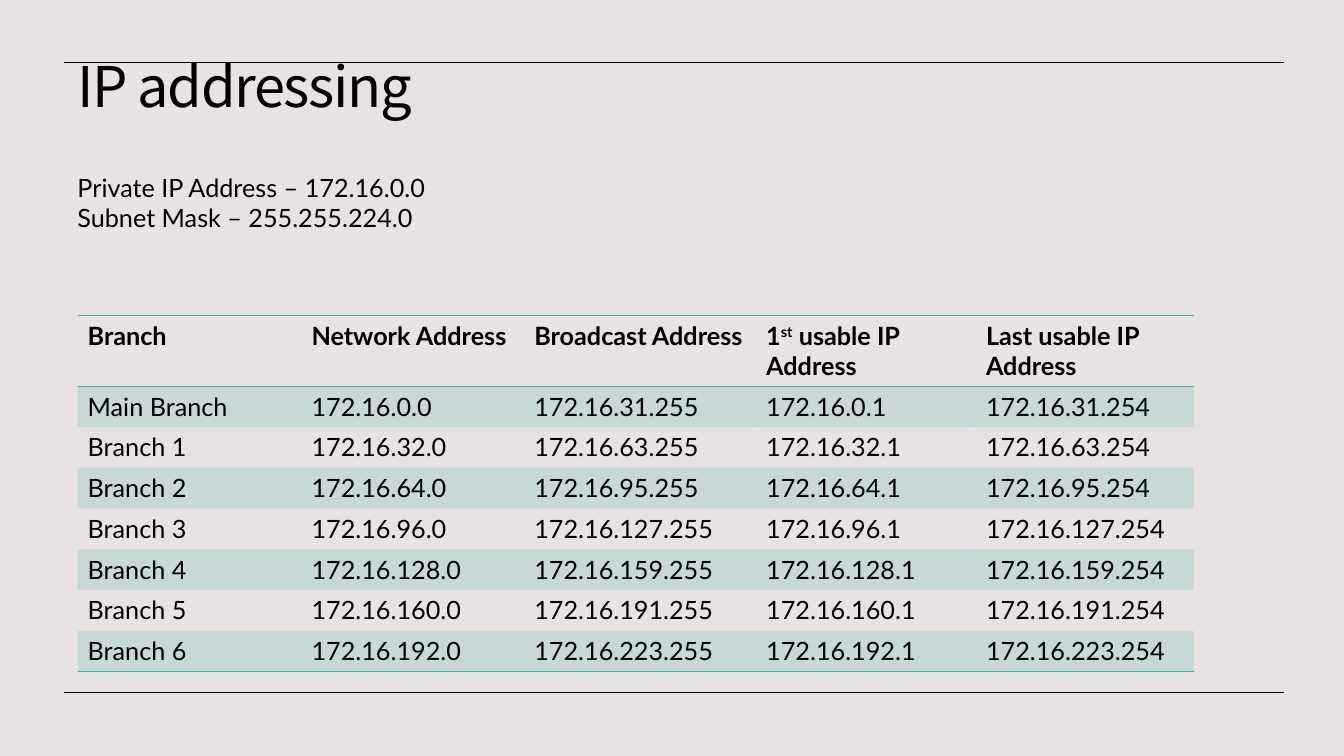
from dataclasses import dataclass

from lxml import etree
from pptx import Presentation
from pptx.dml.color import RGBColor
from pptx.enum.shapes import MSO_CONNECTOR
from pptx.enum.text import MSO_ANCHOR, MSO_AUTO_SIZE
from pptx.oxml.ns import qn
from pptx.util import Inches, Pt

STRAIGHT = MSO_CONNECTOR.STRAIGHT
TOP = MSO_ANCHOR.TOP
GROW = MSO_AUTO_SIZE.SHAPE_TO_FIT_TEXT
NO_GROW = MSO_AUTO_SIZE.NONE

WIDTH, HEIGHT = Inches(13.33), Inches(7.5)
BACKGROUND, INK, TEAL = "E8E2E3", "000000", "45B0A7"
TITLE_FONT, BODY_FONT = "Noto Sans CJK KR", "Lato"

COLUMNS = [2.22, 2.21, 2.3, 2.18, 2.16]
HEADER_ROW, BODY_ROW = 0.7, 0.405
BRANCHES = ["Main Branch"] + [f"Branch {n}" for n in range(1, 7)]
SUBNET_STEP = 32


@dataclass
class Run:
    text: str
    size: float = 18
    font: str = BODY_FONT
    bold: bool = False
    raised: bool = False
    spacing: float = 0


@dataclass
class TextBlock:
    left: float
    top: float
    width: float
    height: float
    lines: list[list[Run]]
    line_spacing: float = 1.0
    grow: bool = False


HEADERS = [
    [Run("Branch", bold=True)],
    [Run("Network Address", bold=True)],
    [Run("Broadcast Address", bold=True)],
    [Run("1", bold=True), Run("st", bold=True, raised=True),
     Run(" usable IP Address", bold=True)],
    [Run("Last usable IP Address", bold=True)],
]
TEXT_BLOCKS = [
    TextBlock(0.67, 0.54, 12.08, 0.79,
              [[Run("IP addressing", 40, TITLE_FONT, spacing=-1)]], 0.9),
    TextBlock(0.67, 1.66, 10.43, 0.71,
              [[Run("Private IP Address – 172.16.0.0")],
               [Run("Subnet Mask – 255.255.224.0")]], grow=True),
]


def rgb(value: str) -> RGBColor:
    return RGBColor.from_string(value)


def add_runs(p, runs: list[Run]) -> None:
    for run in runs:
        r = p.add_run()
        r.text = run.text
        r.font.size, r.font.name, r.font.bold = Pt(run.size), run.font, run.bold
        r.font.color.rgb = rgb(INK)
        props = r.font._element
        if run.raised:
            props.set("baseline", "30000")
        if run.spacing:
            props.set("spc", str(round(run.spacing * 100)))


def add_text(s, block: TextBlock) -> None:
    box = s.shapes.add_textbox(Inches(block.left), Inches(block.top),
                               Inches(block.width), Inches(block.height))
    tf = box.text_frame
    tf.word_wrap, tf.vertical_anchor = True, TOP
    tf.auto_size = GROW if block.grow else NO_GROW
    for i, line in enumerate(block.lines):
        p = tf.paragraphs[0] if i == 0 else tf.add_paragraph()
        p.line_spacing = block.line_spacing
        add_runs(p, line)


def add_rule(s, y: float) -> None:
    line = s.shapes.add_connector(STRAIGHT, Inches(12.73), Inches(y),
                                  Inches(0.63), Inches(y))
    line.line.color.rgb, line.line.width = rgb(INK), Pt(0.5)
    etree.SubElement(line._element.spPr, qn("a:effectLst"))


def style_cell(cell, edges: list[str], banded: bool) -> None:
    """Border the given edges in teal; tint the cell if it is banded."""
    props = cell._tc.get_or_add_tcPr()
    for edge in ("lnL", "lnR", "lnT", "lnB"):
        ln = etree.SubElement(props, qn(f"a:{edge}"), w=str(Pt(1)))
        if edge in edges:
            fill = etree.SubElement(ln, qn("a:solidFill"))
            etree.SubElement(fill, qn("a:srgbClr"), val=TEAL)
        else:
            etree.SubElement(ln, qn("a:noFill"))
    if banded:
        cell.fill.solid()
        cell.fill.fore_color.rgb = rgb(TEAL)
        color = props.find(qn("a:solidFill")).find(qn("a:srgbClr"))
        etree.SubElement(color, qn("a:alpha"), val="20000")
    else:
        cell.fill.background()


def subnet_row(index: int, branch: str) -> list[list[Run]]:
    """Name, network, broadcast, first and last usable address of a branch."""
    first = index * SUBNET_STEP
    last = first + SUBNET_STEP - 1
    hosts = [f"{first}.0", f"{last}.255", f"{first}.1", f"{last}.254"]
    return [[Run(branch)]] + [[Run(f"172.16.{host}")] for host in hosts]


def add_address_table(s) -> None:
    rows = [HEADERS] + [subnet_row(i, name) for i, name in enumerate(BRANCHES)]
    height = HEADER_ROW + BODY_ROW * len(BRANCHES)
    table = s.shapes.add_table(len(rows), len(COLUMNS), Inches(0.77), Inches(3.13),
                               Inches(sum(COLUMNS)), Inches(height)).table
    for column, width in zip(table.columns, COLUMNS):
        column.width = Inches(width)
    for i, row in enumerate(rows):
        table.rows[i].height = Inches(BODY_ROW if i else HEADER_ROW)
        edges = {0: ["lnT", "lnB"], 1: ["lnT"], len(rows) - 1: ["lnB"]}.get(i, [])
        for j, runs in enumerate(row):
            cell = table.cell(i, j)
            add_runs(cell.text_frame.paragraphs[0], runs)
            style_cell(cell, edges, banded=i % 2 == 1)


def main() -> None:
    prs = Presentation()
    prs.slide_width, prs.slide_height = WIDTH, HEIGHT
    s = prs.slides.add_slide(prs.slide_layouts[6])
    s.background.fill.solid()
    s.background.fill.fore_color.rgb = rgb(BACKGROUND)
    for y in (0.62, 6.87):
        add_rule(s, y)
    for block in TEXT_BLOCKS:
        add_text(s, block)
    add_address_table(s)
    prs.save("out.pptx")


if __name__ == "__main__":
    main()
